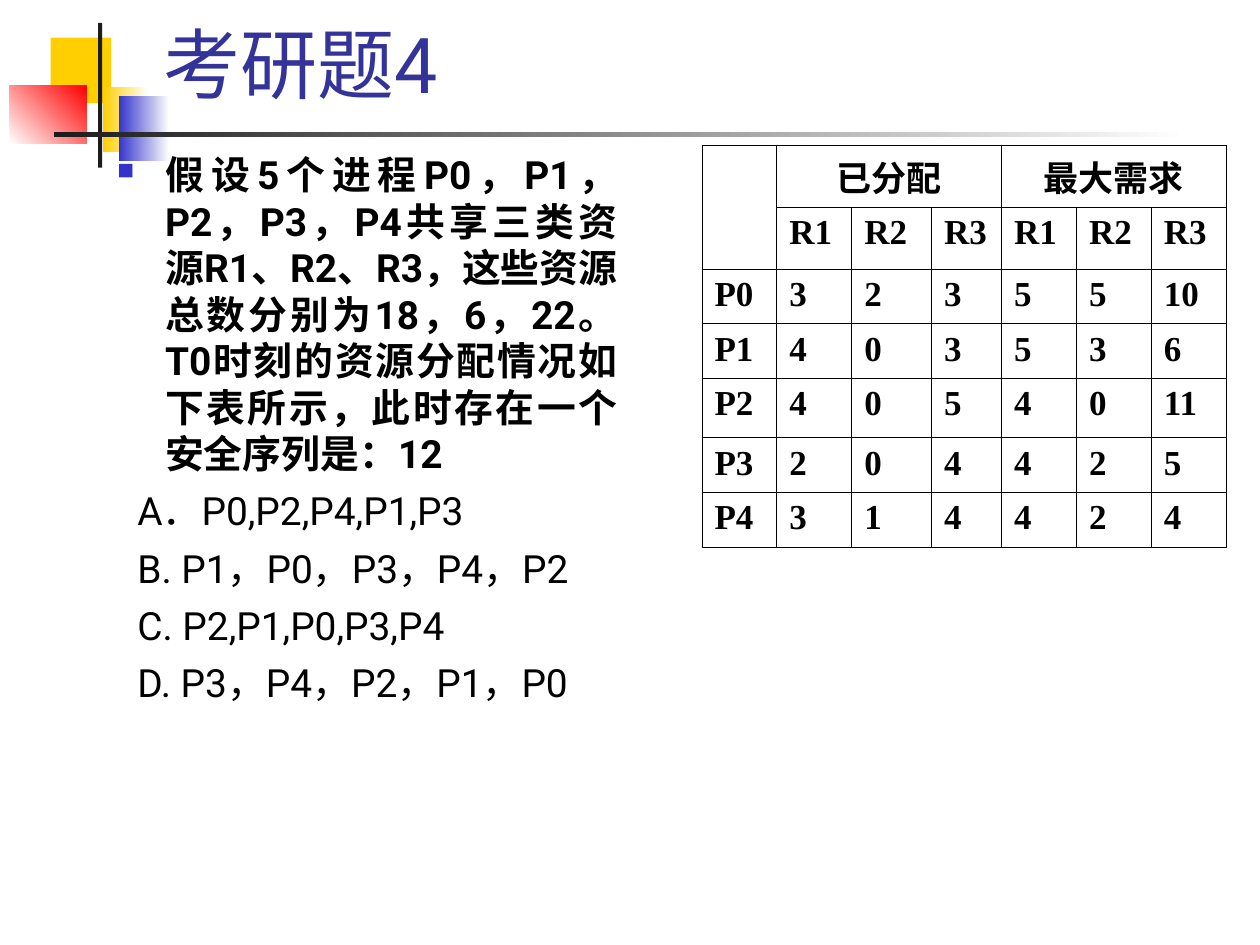
from lxml import etree
from pptx import Presentation
from pptx.dml.color import RGBColor
from pptx.enum.lang import MSO_LANGUAGE_ID
from pptx.enum.shapes import MSO_SHAPE
from pptx.enum.text import MSO_ANCHOR, PP_ALIGN
from pptx.oxml.ns import qn
from pptx.util import Cm, Pt

RECTANGLE = MSO_SHAPE.RECTANGLE
BOTTOM = MSO_ANCHOR.BOTTOM
CENTER = PP_ALIGN.CENTER
JUSTIFY = PP_ALIGN.JUSTIFY
CHINESE = MSO_LANGUAGE_ID.SIMPLIFIED_CHINESE

BLACK = "000000"
WHITE = "FFFFFF"
YELLOW = "FFCF01"
BLUE = "3333CC"
DARK = "1C1C1C"


def color(hex_string):
    return RGBColor.from_string(hex_string)


def add_run(paragraph, text, size, font_name, hex_string=BLACK, bold=False):
    run = paragraph.add_run()
    run.text = text
    run.font.size = Pt(size)
    run.font.name = font_name
    run.font.bold = bold
    run.font.color.rgb = color(hex_string)
    run.font.language_id = CHINESE


presentation = Presentation()
presentation.slide_width = Cm(25.4)
presentation.slide_height = Cm(19.05)
slide = presentation.slides.add_slide(presentation.slide_layouts[6])

# Corner decoration: left, top, width, height, start colour, end colour, angle
decorations = [
    (1.02, 0.76, 1.22, 1.32, YELLOW, None, 0),
    (2.08, 1.75, 0.91, 1.32, YELLOW, WHITE, 0),
    (2.39, 1.93, 1.02, 1.32, BLUE, WHITE, 0),
    (0.2, 1.73, 1.55, 1.17, WHITE, "FF0000", 45),
    (1.98, 0.46, 0.08, 2.92, DARK, None, 0),
    (1.09, 2.67, 22.86, 0.1, DARK, WHITE, 0),
]
for left, top, width, height, start, end, angle in decorations:
    shape = slide.shapes.add_shape(RECTANGLE, Cm(left), Cm(top), Cm(width), Cm(height))
    shape.shadow.inherit = False
    shape.line.fill.background()
    if end is None:
        shape.fill.solid()
        shape.fill.fore_color.rgb = color(start)
    else:
        shape.fill.gradient()
        shape.fill.gradient_angle = angle
        for stop, position, hex_string in zip(shape.fill.gradient_stops, (0, 1), (start, end)):
            stop.position = position
            stop.color.rgb = color(hex_string)

# Title
title = slide.shapes.add_textbox(Cm(3.05), Cm(0.43), Cm(21.64), Cm(1.9))
title.text_frame.word_wrap = True
title.text_frame.vertical_anchor = BOTTOM
add_run(title.text_frame.paragraphs[0], "考研题4", 44, "Roboto", "333399")

# Question and answer options
question = (
    "假设5个进程P0，P1，P2，P3，P4共享三类资源R1、R2、R3，"
    "这些资源总数分别为18，6，22。T0时刻的资源分配情况如下表所示，"
    "此时存在一个安全序列是：12"
)
options = [
    "A．P0,P2,P4,P1,P3",
    "B. P1，P0，P3，P4，P2",
    "C. P2,P1,P0,P3,P4",
    "D. P3，P4，P2，P1，P0",
]
body = slide.shapes.add_textbox(Cm(2.11), Cm(2.92), Cm(10.59), Cm(13.61))
body.text_frame.word_wrap = True
for index, text in enumerate([question] + options):
    is_question = index == 0
    paragraph = body.text_frame.paragraphs[0] if is_question else body.text_frame.add_paragraph()
    paragraph.space_before = Pt(6)
    paragraph.line_spacing = Pt(26.6)
    add_run(paragraph, text, 22.2, "Roboto", bold=is_question)
    properties = paragraph._p.get_or_add_pPr()
    properties.set("marL", str(Cm(0.97)))
    properties.set("indent", str(Cm(-0.97 if is_question else -0.56)))
    if is_question:
        paragraph.alignment = JUSTIFY
        bullet_color = etree.SubElement(properties, qn("a:buClr"))
        etree.SubElement(bullet_color, qn("a:srgbClr"), val=BLUE)
        etree.SubElement(properties, qn("a:buSzPct"), val="60000")
        etree.SubElement(properties, qn("a:buChar"), char="■")

# Resource allocation table
column_widths = [1.51, 1.51, 1.61, 1.41, 1.51, 1.51, 1.51]
row_heights = [1.25, 1.25, 1.1, 1.1, 1.2, 1.1, 1.1]
table_rows = [
    ["", "已分配", "", "", "最大需求", "", ""],
    ["", "R1", "R2", "R3", "R1", "R2", "R3"],
    ["P0", "3", "2", "3", "5", "5", "10"],
    ["P1", "4", "0", "3", "5", "3", "6"],
    ["P2", "4", "0", "5", "4", "0", "11"],
    ["P3", "2", "0", "4", "4", "2", "5"],
    ["P4", "3", "1", "4", "4", "2", "4"],
]
table = slide.shapes.add_table(
    len(row_heights), len(column_widths),
    Cm(14.15), Cm(2.92), Cm(sum(column_widths)), Cm(sum(row_heights)),
).table
table.first_row = False
table.horz_banding = False
for column, width in zip(table.columns, column_widths):
    column.width = Cm(width)
for row, height in zip(table.rows, row_heights):
    row.height = Cm(height)

table.cell(0, 0).merge(table.cell(1, 0))
table.cell(0, 1).merge(table.cell(0, 3))
table.cell(0, 4).merge(table.cell(0, 6))

for row_index, texts in enumerate(table_rows):
    for column_index, text in enumerate(texts):
        cell = table.cell(row_index, column_index)
        cell.fill.background()
        if text:
            paragraph = cell.text_frame.paragraphs[0]
            add_run(paragraph, text, 20, "Times New Roman", bold=True)
            if row_index == 0:
                paragraph.alignment = CENTER
        cell_properties = cell._tc.get_or_add_tcPr()
        for position, side in enumerate(("a:lnL", "a:lnR", "a:lnT", "a:lnB")):
            border = etree.Element(qn(side), w=str(Pt(0.45)))
            border_fill = etree.SubElement(border, qn("a:solidFill"))
            etree.SubElement(border_fill, qn("a:srgbClr"), val=BLACK)
            cell_properties.insert(position, border)

presentation.save("out.pptx")
